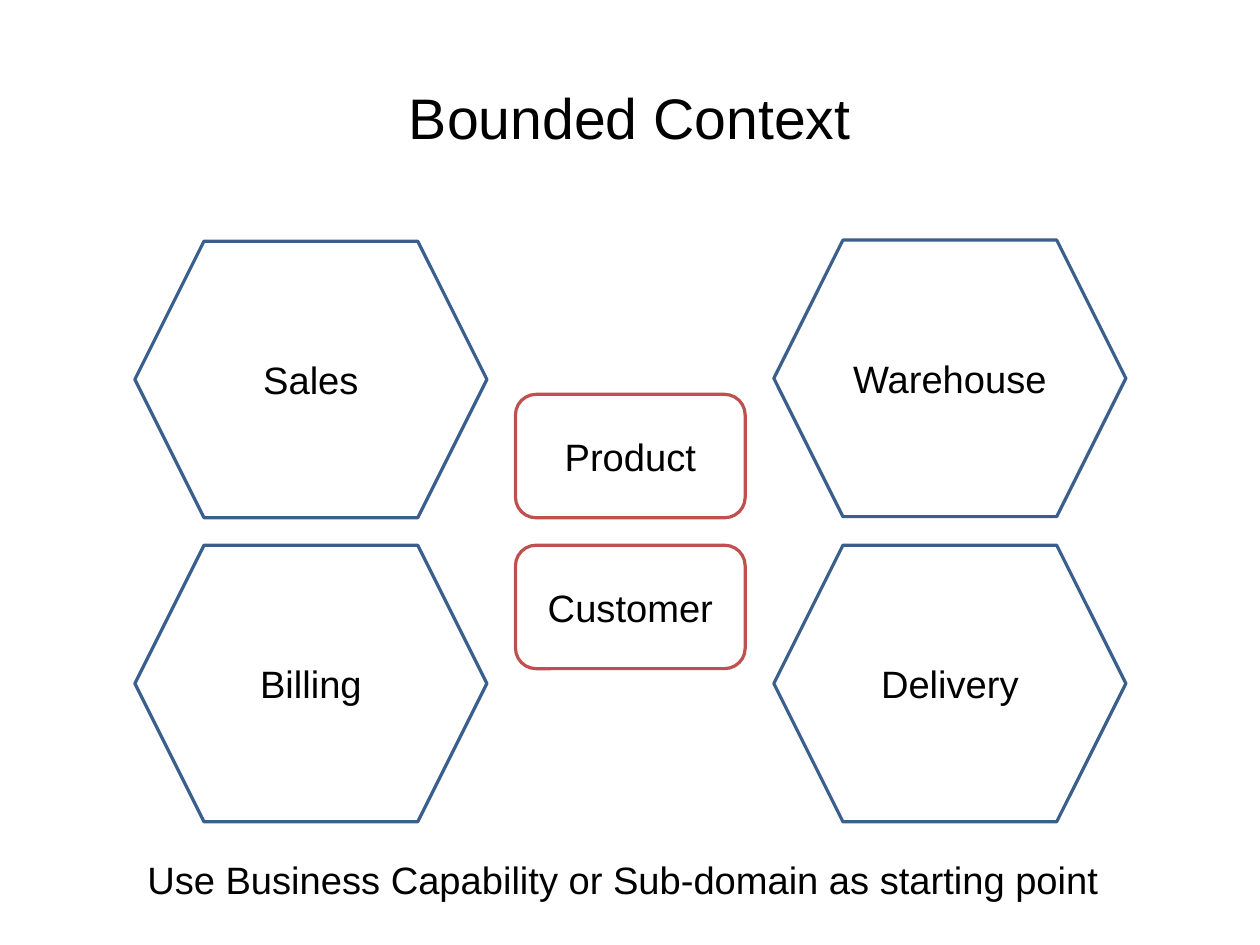
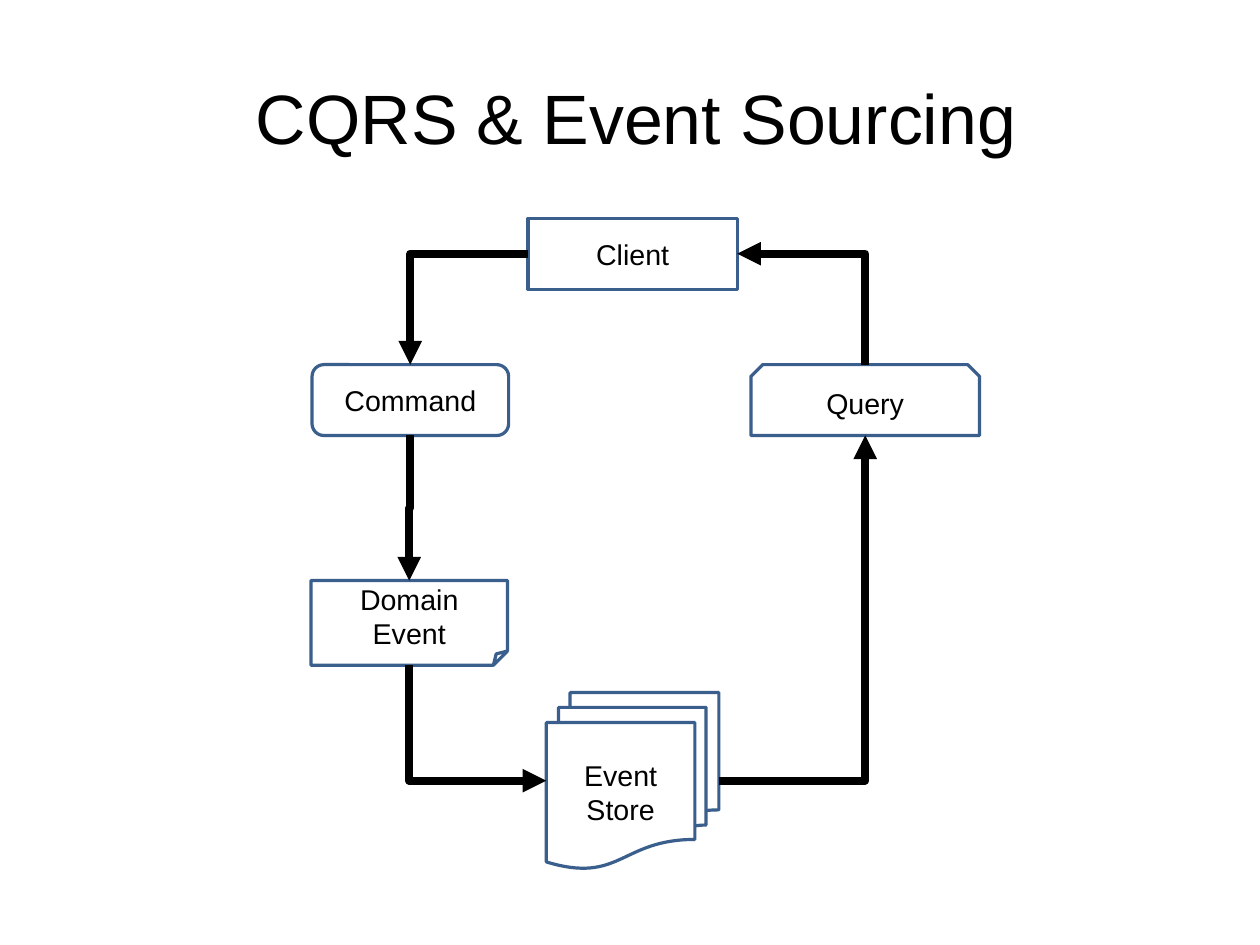
from dataclasses import dataclass

from pptx import Presentation
from pptx.dml.color import RGBColor as RGB
from pptx.enum.shapes import MSO_CONNECTOR as CXN, MSO_SHAPE as SHAPE
from pptx.enum.text import MSO_ANCHOR as ANCHOR, MSO_AUTO_SIZE as FIT, PP_ALIGN as ALIGN
from pptx.oxml.ns import qn
from pptx.util import Inches, Pt
from lxml.etree import SubElement


@dataclass(frozen=True)
class Theme:
    font: str = "Arial"
    ink: RGB = RGB(0x00, 0x00, 0x00)
    blue: RGB = RGB(0x3A, 0x5F, 0x8C)
    red: RGB = RGB(0xC0, 0x50, 0x4D)
    title: int = 36
    big_title: int = 44
    large: int = 24
    label: int = 18
    outline: int = 2
    arrow: int = 5


T = Theme()
CM_PER_INCH = 2.54
TITLE_BOX = (0.55, 0.33, 9.92, 1.38)
SIDES = {"top": (0.5, 0), "left": (0, 0.5), "bottom": (0.5, 1), "right": (1, 0.5)}
VERTICAL = ("top", "bottom")
SITES = {
    SHAPE.SNIP_2_SAME_RECTANGLE: ("right", "bottom", "left", "top"),
}


def assign(obj, **values):
    for name, value in values.items():
        setattr(obj, name, value)


def write(tf, text, size, align=ALIGN.CENTER):
    tf.text = text
    for p in tf.paragraphs:
        p.alignment = align
        for r in p.runs:
            assign(r.font, name=T.font, size=Pt(size))
            r.font.color.rgb = T.ink


def place_title_on(layout):
    sp = layout.placeholders[0]
    assign(sp, **dict(zip(("left", "top", "width", "height"), map(Inches, TITLE_BOX))))
    assign(sp.text_frame, margin_left=0, margin_top=0, margin_right=0, margin_bottom=0,
           vertical_anchor=ANCHOR.MIDDLE, auto_size=FIT.NONE)


def add_slide(prs, layout, title, size):
    s = prs.slides.add_slide(layout)
    write(s.shapes.title.text_frame, title, size)
    return s


def add_box(s, kind, at, text, size=T.label, color=T.blue):
    sp = s.shapes.add_shape(kind, *map(Inches, at))
    sp.shadow.inherit = False
    sp.fill.background()
    sp.line.color.rgb = color
    sp.line.width = Pt(T.outline)
    assign(sp.text_frame, word_wrap=True, vertical_anchor=ANCHOR.MIDDLE)
    write(sp.text_frame, text, size)
    return sp


def add_caption(s, at, text):
    tf = s.shapes.add_textbox(*map(Inches, at)).text_frame
    assign(tf, word_wrap=True, auto_size=FIT.SHAPE_TO_FIT_TEXT)
    write(tf, text, T.large, ALIGN.LEFT)


def site_index(sp, side):
    return SITES.get(sp.auto_shape_type, tuple(SIDES)).index(side)


def site_point(sp, side):
    fx, fy = SIDES[side]
    return round(sp.left + fx * sp.width), round(sp.top + fy * sp.height)


def bend(c, start, end, vertical_first, preset):
    (x1, y1), (x2, y2) = start, end
    dx, dy = x2 - x1, y2 - y1
    w, h = abs(dx), abs(dy)
    flips = {"flipH": dx < 0, "flipV": dy < 0}
    xfrm = c._element.spPr.find(qn("a:xfrm"))
    if vertical_first:
        w, h = h, w
        flips = {"flipH": False, "flipV": (dx > 0) == (dy > 0)}
        xfrm.set("rot", str((90 if dy > 0 else 270) * 60000))
    for name, on in flips.items():
        xfrm.set(name, str(int(on)))
    assign(c, left=(x1 + x2 - w) // 2, top=(y1 + y2 - h) // 2, width=w, height=h)
    c._element.spPr.find(qn("a:prstGeom")).set("prst", preset)


def add_arrow(s, source, out_side, target, in_side):
    start, end = site_point(source, out_side), site_point(target, in_side)
    c = s.shapes.add_connector(CXN.ELBOW, *start, *end)
    c.begin_connect(source, site_index(source, out_side))
    c.end_connect(target, site_index(target, in_side))
    leaves_vertical, enters_vertical = out_side in VERTICAL, in_side in VERTICAL
    preset = "bentConnector3" if leaves_vertical == enters_vertical else "bentConnector2"
    bend(c, start, end, leaves_vertical, preset)
    c.line.color.rgb = T.ink
    c.line.width = Pt(T.arrow)
    spPr = c._element.spPr
    SubElement(spPr.find(qn("a:ln")), qn("a:tailEnd"), type="triangle")
    SubElement(spPr, qn("a:effectLst"))


def bounded_context(prs, layout):
    s = add_slide(prs, layout, "Bounded Context", T.title)
    for text, y in (("Product", 3.45), ("Customer", 4.77)):
        add_box(s, SHAPE.ROUNDED_RECTANGLE, (4.51, y, 2.01, 1.08), text, T.large, T.red)
    for text, x, y in (
        ("Sales", 1.18, 2.11),
        ("Warehouse", 6.77, 2.1),
        ("Delivery", 6.77, 4.77),
        ("Billing", 1.18, 4.77),
    ):
        add_box(s, SHAPE.HEXAGON, (x, y, 3.08, 2.42), text, T.large)
    add_caption(s, (1.19, 7.44, 8.65, 0.5),
                "Use Business Capability or Sub-domain as starting point")


def event_sourcing(prs, layout):
    s = add_slide(prs, layout, "CQRS & Event Sourcing", T.big_title)
    p = s.shapes.title.text_frame.paragraphs[0]
    p.space_before = Pt(14.2)
    p._p.get_or_add_pPr().set("marL", str(Inches(0.12)))

    store = add_box(s, SHAPE.FLOWCHART_MULTIDOCUMENT, (4.78, 6.06, 1.51, 1.54), "Event\nStore")
    client = add_box(s, SHAPE.RECTANGLE, (4.62, 1.91, 1.83, 0.62), "Client")
    command = add_box(s, SHAPE.ROUNDED_RECTANGLE, (2.73, 3.19, 1.72, 0.62), "Command")
    query = add_box(s, SHAPE.SNIP_2_SAME_RECTANGLE, (6.57, 3.19, 2, 0.62), "Query")
    event = add_box(s, SHAPE.FOLDED_CORNER, (2.72, 5.08, 1.72, 0.74), "Domain Event")

    for flow in (
        (client, "left", command, "top"),
        (query, "top", client, "right"),
        (command, "bottom", event, "top"),
        (event, "bottom", store, "left"),
        (store, "right", query, "bottom"),
    ):
        add_arrow(s, *flow)


def main():
    prs = Presentation()
    prs.slide_width = Inches(28 / CM_PER_INCH)
    prs.slide_height = Inches(21 / CM_PER_INCH)
    layout = prs.slide_layouts.get_by_name("Title Only")
    place_title_on(layout)
    bounded_context(prs, layout)
    event_sourcing(prs, layout)
    prs.save("out.pptx")


if __name__ == "__main__":
    main()
